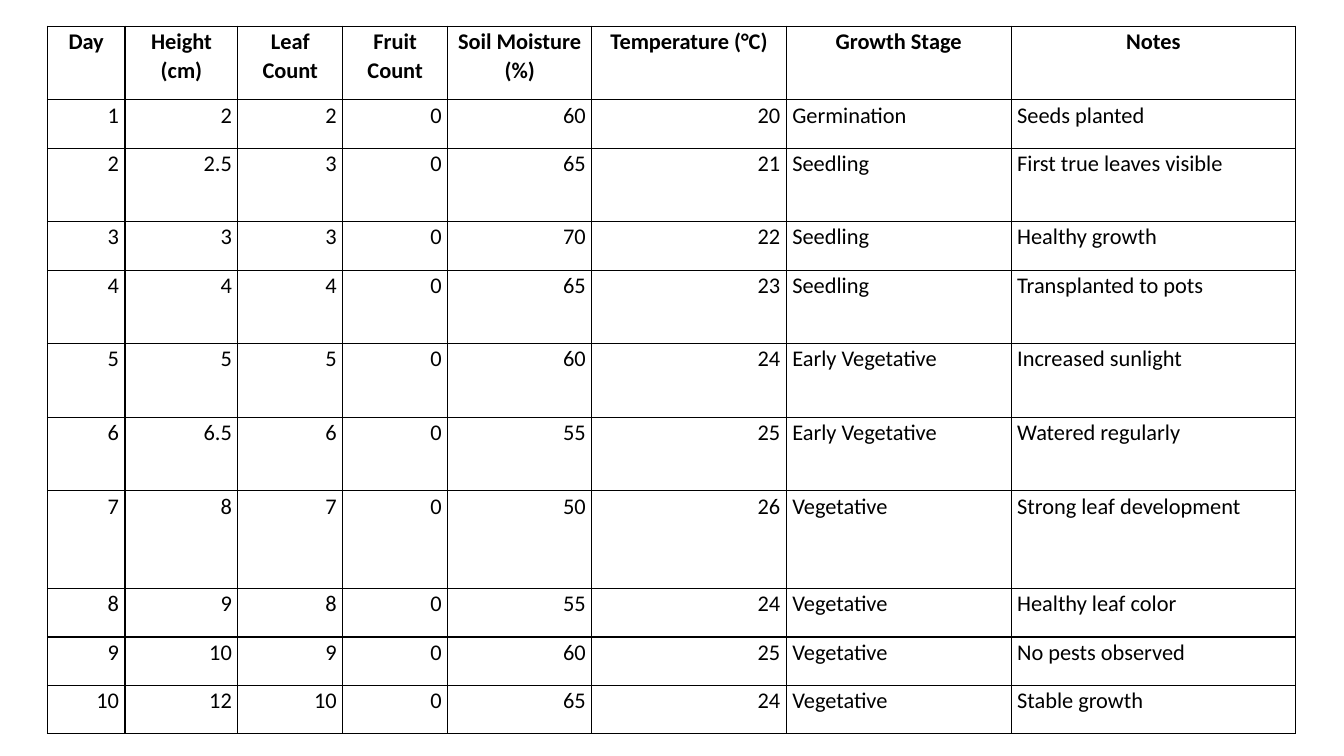
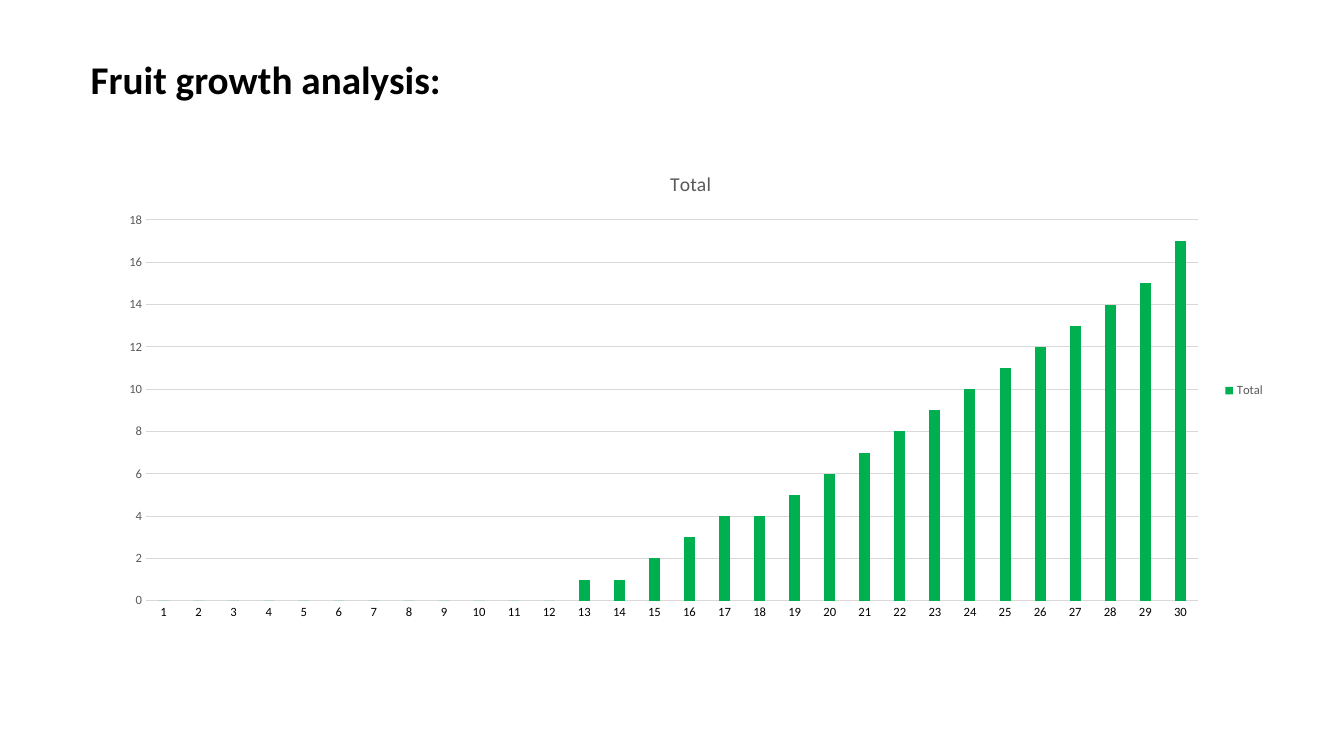
from lxml import etree
from pptx import Presentation
from pptx.chart.data import CategoryChartData
from pptx.dml.color import RGBColor
from pptx.enum.chart import XL_CHART_TYPE, XL_LEGEND_POSITION, XL_TICK_MARK
from pptx.enum.text import MSO_ANCHOR, MSO_AUTO_SIZE, PP_ALIGN
from pptx.oxml.ns import qn
from pptx.util import Inches, Pt

COLUMN_CLUSTERED = XL_CHART_TYPE.COLUMN_CLUSTERED
LEGEND_RIGHT = XL_LEGEND_POSITION.RIGHT
NO_TICK = XL_TICK_MARK.NONE
TOP = MSO_ANCHOR.TOP
FIXED_SIZE = MSO_AUTO_SIZE.NONE
LEFT, CENTER, RIGHT = PP_ALIGN.LEFT, PP_ALIGN.CENTER, PP_ALIGN.RIGHT

BLACK = RGBColor(0x00, 0x00, 0x00)
WHITE = RGBColor(0xFF, 0xFF, 0xFF)
GRAY = RGBColor(0x59, 0x59, 0x59)
PALE_GRAY = RGBColor(0xD9, 0xD9, 0xD9)
GREEN = RGBColor(0x00, 0xB0, 0x50)

FONT = "Calibri"
LINE_SPACING = 1.07
TITLE_ONLY, BLANK = 5, 6

COLUMN_WIDTHS = [0.77, 1.12, 1.04, 1.04, 1.43, 1.93, 2.23, 2.82]
LINE_ROW, TWO_LINE_ROW, THREE_LINE_ROW = 0.48, 0.73, 0.97
ROW_HEIGHTS = ([TWO_LINE_ROW, LINE_ROW, TWO_LINE_ROW, LINE_ROW]
               + [TWO_LINE_ROW] * 3 + [THREE_LINE_ROW] + [LINE_ROW] * 3)
COLUMN_ALIGNS = [RIGHT] * 6 + [LEFT] * 2
HEADERS = ["Day", "Height (cm)", "Leaf Count", "Fruit Count",
           "Soil Moisture (%)", "Temperature (°C)", "Growth Stage", "Notes"]
GROWTH_LOG = [
    (1, 2, 2, 0, 60, 20, "Germination", "Seeds planted"),
    (2, 2.5, 3, 0, 65, 21, "Seedling", "First true leaves visible"),
    (3, 3, 3, 0, 70, 22, "Seedling", "Healthy growth"),
    (4, 4, 4, 0, 65, 23, "Seedling", "Transplanted to pots"),
    (5, 5, 5, 0, 60, 24, "Early Vegetative", "Increased sunlight"),
    (6, 6.5, 6, 0, 55, 25, "Early Vegetative", "Watered regularly"),
    (7, 8, 7, 0, 50, 26, "Vegetative", "Strong leaf development"),
    (8, 9, 8, 0, 55, 24, "Vegetative", "Healthy leaf color"),
    (9, 10, 9, 0, 60, 25, "Vegetative", "No pests observed"),
    (10, 12, 10, 0, 65, 24, "Vegetative", "Stable growth"),
]
FRUIT_COUNTS = [0] * 12 + [1, 1, 2, 3, 4, 4, *range(5, 16), 17]


def style_font(font, size, color=BLACK, bold=False):
    """Apply the deck's typeface with a size, colour and weight."""
    font.name = FONT
    font.size = Pt(size)
    font.color.rgb = color
    font.bold = bold


def write_text(frame, text, size, color=BLACK, bold=False, align=LEFT, space_after=0):
    """Write one formatted paragraph into a text frame."""
    para = frame.paragraphs[0]
    para.alignment = align
    para.line_spacing = LINE_SPACING
    para.space_after = Pt(space_after)
    span = para.add_run()
    span.text = text
    style_font(span.font, size, color, bold)


def add_borders(cell, color=BLACK, width=1):
    """Draw a solid line on all four sides of a table cell."""
    properties = cell._tc.get_or_add_tcPr()
    for side in ("lnL", "lnR", "lnT", "lnB"):
        line = etree.SubElement(properties, qn(f"a:{side}"), w=str(Pt(width)))
        fill = etree.SubElement(line, qn("a:solidFill"))
        etree.SubElement(fill, qn("a:srgbClr"), val=str(color))


def fill_cell(cell, text, **text_format):
    """Set the borders, fill, margins and text of a table cell."""
    add_borders(cell)
    cell.fill.solid()
    cell.fill.fore_color.rgb = WHITE
    cell.margin_left = cell.margin_right = Inches(0.06)
    cell.margin_top = cell.margin_bottom = 0
    cell.vertical_anchor = TOP
    write_text(cell.text_frame, text, 16, **text_format)


def add_growth_table(page):
    """Add the daily growth log as a plain ruled table."""
    frame = page.shapes.add_table(
        len(ROW_HEIGHTS), len(COLUMN_WIDTHS), Inches(0.47), Inches(0.26),
        Inches(sum(COLUMN_WIDTHS)), Inches(sum(ROW_HEIGHTS)))
    table = frame.table
    table.first_row = table.horz_banding = False
    for column, width in zip(table.columns, COLUMN_WIDTHS):
        column.width = Inches(width)
    for row, height in zip(table.rows, ROW_HEIGHTS):
        row.height = Inches(height)
    for index, header in enumerate(HEADERS):
        fill_cell(table.cell(0, index), header, bold=True, align=CENTER)
    for row_index, entries in enumerate(GROWTH_LOG, start=1):
        for index, (entry, align) in enumerate(zip(entries, COLUMN_ALIGNS)):
            fill_cell(table.cell(row_index, index), str(entry), align=align)


def set_title(page, text):
    """Place and format the title placeholder."""
    title = page.shapes.title
    title.left, title.top = Inches(0.8), Inches(0.47)
    title.width, title.height = Inches(6.67), Inches(1.2)
    frame = title.text_frame
    frame.word_wrap = True
    frame.auto_size = FIXED_SIZE
    frame.vertical_anchor = TOP
    write_text(frame, text, 28, bold=True, space_after=8)


def style_axis(axis, color):
    """Remove tick marks from an axis and format its labels."""
    axis.major_tick_mark = axis.minor_tick_mark = NO_TICK
    style_font(axis.tick_labels.font, 9, color)


def style_line(line):
    """Make a thin pale chart line."""
    line.color.rgb = PALE_GRAY
    line.width = Pt(0.75)


def add_fruit_chart(page):
    """Add the column chart of the fruit count for each day."""
    data = CategoryChartData()
    data.categories = [str(day) for day in range(1, len(FRUIT_COUNTS) + 1)]
    data.add_series("Total", FRUIT_COUNTS)
    chart = page.shapes.add_chart(
        COLUMN_CLUSTERED, Inches(1.05), Inches(1.51),
        Inches(11.6), Inches(4.73), data).chart
    style_font(chart.font, 10)

    chart.has_title = True
    write_text(chart.chart_title.text_frame, "Total", 14, color=GRAY, align=CENTER)
    chart.chart_title.include_in_layout = False
    chart.has_legend = True
    chart.legend.position = LEGEND_RIGHT
    chart.legend.include_in_layout = False
    style_font(chart.legend.font, 9, GRAY)

    days, counts = chart.category_axis, chart.value_axis
    style_axis(days, BLACK)
    style_line(days.format.line)
    style_axis(counts, GRAY)
    counts.format.line.fill.background()
    counts.minimum_scale, counts.maximum_scale, counts.major_unit = 0, 18, 2
    style_line(counts.major_gridlines.format.line)

    plot = chart.plots[0]
    plot.gap_width, plot.overlap = 219, -27
    plot.vary_by_categories = False
    bars = plot.series[0]
    bars.invert_if_negative = False
    bars.format.fill.solid()
    bars.format.fill.fore_color.rgb = GREEN


def main():
    """Build and save the deck."""
    deck = Presentation()
    deck.slide_width, deck.slide_height = Inches(13.33), Inches(7.5)
    add_growth_table(deck.slides.add_slide(deck.slide_layouts[BLANK]))
    analysis = deck.slides.add_slide(deck.slide_layouts[TITLE_ONLY])
    set_title(analysis, "Fruit growth analysis:")
    add_fruit_chart(analysis)
    deck.save("out.pptx")


if __name__ == "__main__":
    main()
